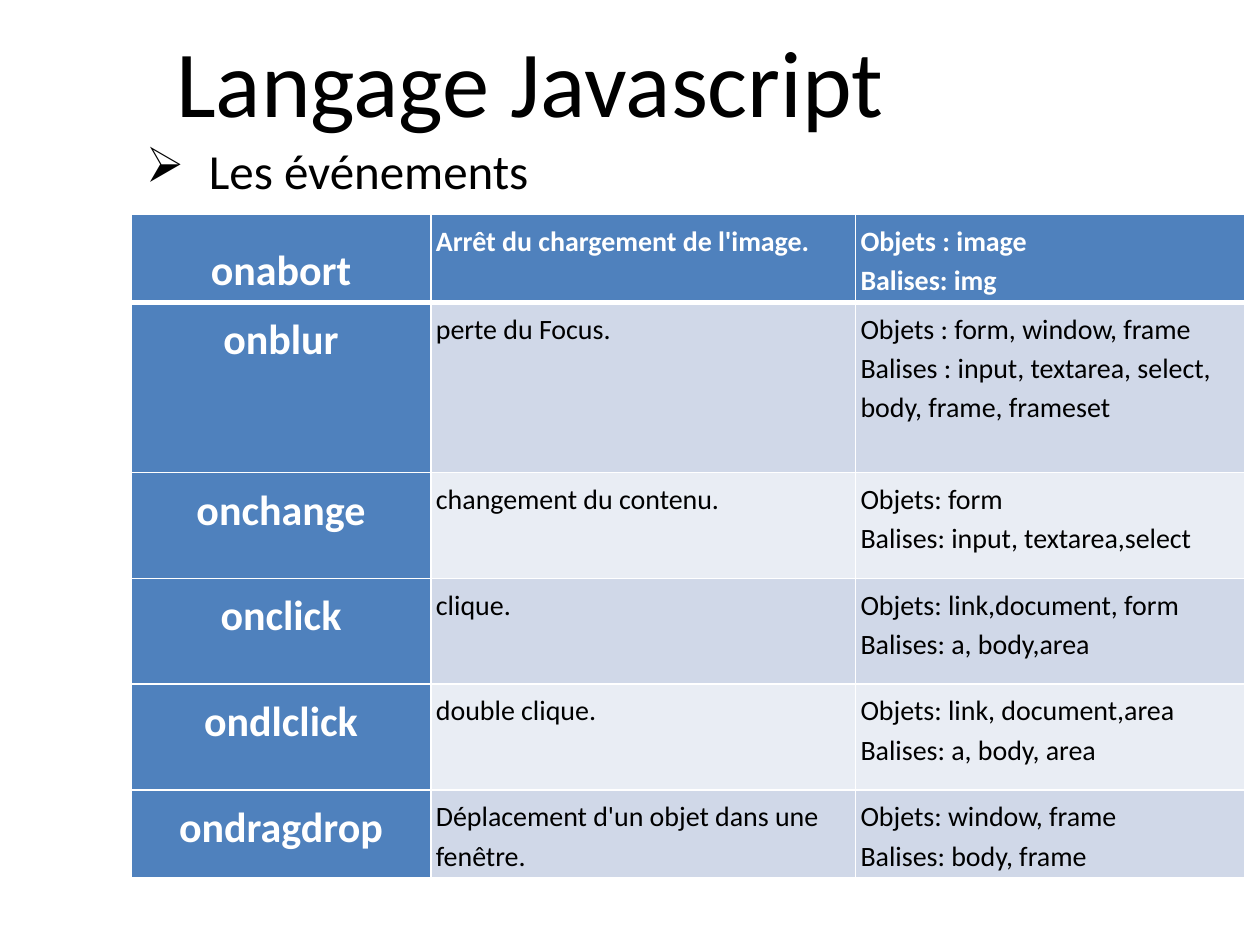
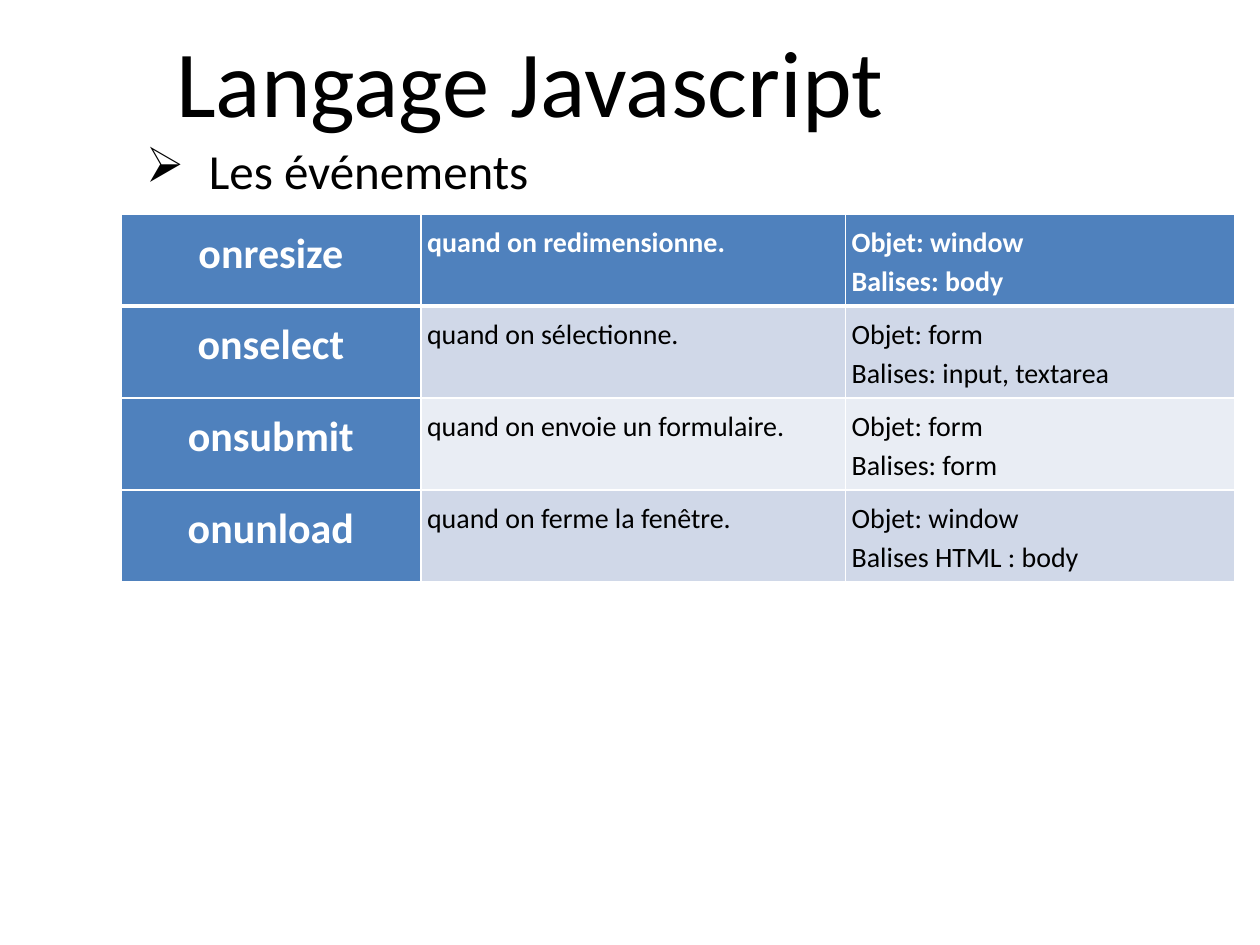
import pptx
import pptx.dml.color
import pptx.enum.text
import pptx.oxml.ns
import pptx.util
from lxml import etree

TITLE = "Langage Javascript"
TOPIC = "Les événements"
SLIDES = [
    {
        "left": 1.04, "inset": 0.04, "topic": 5.91, "drop": 0.15,
        "heights": [0.7, 1.35, 0.84, 0.84, 0.84, 0.7],
        "rows": [
            ("onabort", "Arrêt du chargement de l'image.",
             "Objets : image\nBalises: img"),
            ("onblur", "perte du Focus.",
             "Objets : form, window, frame\n"
             "Balises : input, textarea, select, body, frame, frameset"),
            ("onchange", "changement du contenu.",
             "Objets: form\nBalises: input, textarea,select"),
            ("onclick", "clique.",
             "Objets: link,document, form\nBalises: a, body,area"),
            ("ondlclick", "double clique.",
             "Objets: link, document,area\nBalises: a, body, area"),
            ("ondragdrop", "Déplacement d'un objet dans une fenêtre.",
             "Objets: window, frame\nBalises: body, frame"),
        ],
    },
    {
        "left": 0.96, "inset": 0.05, "topic": 4.02, "drop": 0,
        "heights": [0.73] * 4,
        "rows": [
            ("onresize", "quand on redimensionne.",
             "Objet: window\nBalises: body"),
            ("onselect", "quand on sélectionne.",
             "Objet: form\nBalises: input, textarea"),
            ("onsubmit", "quand on envoie un formulaire.",
             "Objet: form\nBalises: form"),
            ("onunload", "quand on ferme la fenêtre.",
             "Objet: window\nBalises HTML : body"),
        ],
    },
]
COLORS = {"head": "4F81BD", "odd": "D0D8E8", "even": "E9EDF4",
          "white": "FFFFFF", "black": "000000"}
FONT = "Calibri"
COLS = [2.38, 3.37, 3.09]
TOP = 1.7
Inch = pptx.util.Inches
Pt = pptx.util.Pt
Align = pptx.enum.text.PP_ALIGN


def tint(name):
    return pptx.dml.color.RGBColor.from_string(COLORS[name])


def tag(parent, name, **attrs):
    return etree.SubElement(parent, pptx.oxml.ns.qn(name), attrs)


def write(para, text, size, color="black", bold=False):
    for num, line in enumerate(text.split("\n")):
        if num:
            para.add_line_break()
        run = para.add_run()
        run.text = line
        run.font.name = FONT
        run.font.size = Pt(size)
        run.font.bold = bold
        run.font.color.rgb = tint(color)


def add_box(slide, left, top, width, height):
    box = slide.shapes.add_textbox(*map(Inch, (left, top, width, height)))
    box.text_frame.word_wrap = True
    return box.text_frame.paragraphs[0]


def add_topic(slide, width):
    para = add_box(slide, 1.06, 1.07, width, 0.57)
    props = para._p.get_or_add_pPr()
    props.set("marL", str(Inch(0.5)))
    props.set("indent", str(-Inch(0.5)))
    tag(props, "a:buChar", char="➢")
    write(para, TOPIC, 28)


def edge(cell, row):
    props = cell._tc.get_or_add_tcPr()
    widths = {"L": 1, "R": 1, "T": 3 if row == 1 else 1, "B": 1 if row else 3}
    for spot, (side, width) in enumerate(widths.items()):
        line = tag(props, "a:ln" + side, w=str(Pt(width)))
        tag(tag(line, "a:solidFill"), "a:srgbClr", val=COLORS["white"])
        props.insert(spot, line)


def fill_cell(cell, text, row, col, inset, drop):
    head = row == 0 or col == 0
    cell.margin_left = cell.margin_right = cell.margin_bottom = Inch(inset)
    cell.margin_top = Inch(inset + (0 if row or col else drop))
    cell.fill.solid()
    cell.fill.fore_color.rgb = tint(
        "head" if head else "odd" if row % 2 else "even")
    edge(cell, row)
    para = cell.text_frame.paragraphs[0]
    para.alignment = Align.LEFT if col else Align.CENTER
    para.line_spacing = 1.15
    write(para, text, 16 if col else 24, "white" if head else "black", head)


def add_grid(slide, data):
    rows, heights = data["rows"], data["heights"]
    grid = slide.shapes.add_table(
        len(rows), len(COLS), Inch(data["left"]), Inch(TOP),
        Inch(sum(COLS)), Inch(sum(heights))).table
    for col, width in zip(grid.columns, COLS):
        col.width = Inch(width)
    for row, (texts, height) in enumerate(zip(rows, heights)):
        grid.rows[row].height = Inch(height)
        for col, text in enumerate(texts):
            fill_cell(grid.cell(row, col), text, row, col,
                      data["inset"], data["drop"])


def main():
    """Build the slides on Javascript events."""
    deck = pptx.Presentation()
    deck.slide_width, deck.slide_height = Inch(10), Inch(7.5)
    for data in SLIDES:
        slide = deck.slides.add_slide(deck.slide_layouts[6])
        write(add_box(slide, 1.3, 0.13, 8.58, 1.01), TITLE, 54)
        add_topic(slide, data["topic"])
        add_grid(slide, data)
    deck.save("out.pptx")


if __name__ == "__main__":
    main()
